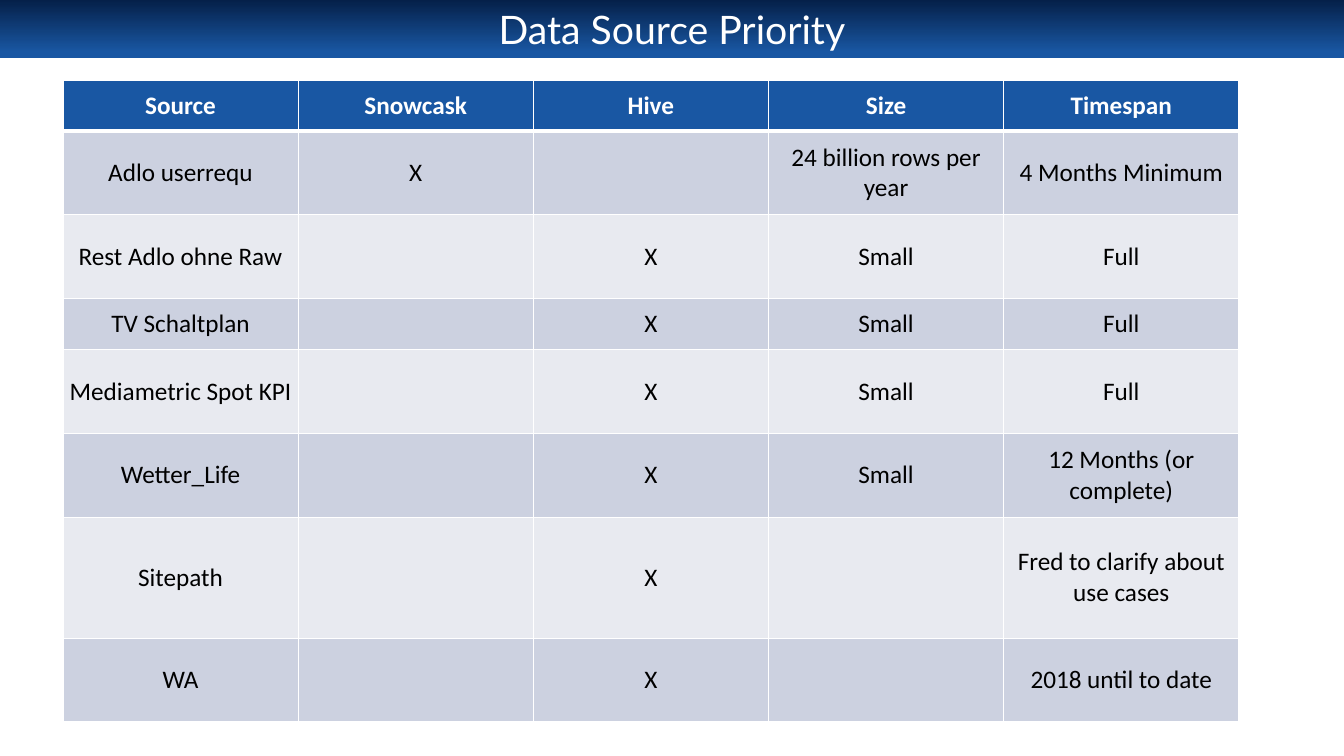
from dataclasses import dataclass

from lxml.etree import SubElement
from pptx import Presentation
from pptx.dml.color import RGBColor as RGB
from pptx.enum.shapes import MSO_SHAPE as SHAPE
from pptx.enum.text import MSO_ANCHOR as ANCHOR, PP_ALIGN as ALIGN
from pptx.oxml.ns import qn
from pptx.util import Inches, Pt


@dataclass(frozen=True)
class Theme:
    navy: str = "052049"
    blue: str = "1957A3"
    white: str = "FFFFFF"
    black: str = "000000"
    bands: tuple = ("CCD1E0", "E8EAF0")
    title_font: str = "Lato"
    body_font: str = "Calibri"
    title_size: int = 28
    body_size: int = 18
    thin: int = 1
    thick: int = 3


T = Theme()
WIDTH, HEIGHT = Inches(13.33), Inches(7.5)
BAR_HEIGHT = 7.72
TABLE_LEFT, TABLE_TOP = 4.68, 10.58
COLUMN = 17.5
HEADER, SINGLE, DOUBLE, TRIPLE = 6.75, 6.75, 11.09, 16

HEADINGS = ("Source", "Snowcask", "Hive", "Size", "Timespan")
SOURCES = (
    (DOUBLE, "Adlo userrequ", "X", "", "24 billion rows per year", "4 Months Minimum"),
    (DOUBLE, "Rest Adlo ohne Raw", "", "X", "Small", "Full"),
    (SINGLE, "TV Schaltplan", "", "X", "Small", "Full"),
    (DOUBLE, "Mediametric Spot KPI", "", "X", "Small", "Full"),
    (DOUBLE, "Wetter_Life", "", "X", "Small", "12 Months (or complete)"),
    (TRIPLE, "Sitepath", "", "X", "", "Fred to clarify about use cases"),
    (DOUBLE, "WA", "", "X", "", "2018 until to date"),
)


def across(percent):
    return round(WIDTH * percent / 100)


def down(percent):
    return round(HEIGHT * percent / 100)


def write(tf, text, font, size, color, bold=False):
    p = tf.paragraphs[0]
    p.alignment = ALIGN.CENTER
    p.font.size = Pt(size)
    if text:
        r = p.add_run()
        r.text = text
        r.font.name = font
        r.font.size = Pt(size)
        r.font.bold = bold
        r.font.color.rgb = RGB.from_string(color)


def add_title_bar(s):
    sp = s.shapes.add_shape(SHAPE.RECTANGLE, 0, 0, WIDTH, down(BAR_HEIGHT))
    sp.shadow.inherit = False
    sp.line.fill.background()
    sp.fill.gradient()
    sp.fill.gradient_angle = 270
    for stop, (position, color) in zip(sp.fill.gradient_stops, ((0, T.navy), (0.9, T.blue))):
        stop.position = position
        stop.color.rgb = RGB.from_string(color)


def add_title(s, text):
    sp = s.shapes.add_textbox(0, 0, WIDTH, down(BAR_HEIGHT))
    tf = sp.text_frame
    tf.word_wrap = True
    tf.vertical_anchor = ANCHOR.MIDDLE
    write(tf, text, T.title_font, T.title_size, T.white)


def add_border(cell, side, width):
    ln = SubElement(cell._tc.get_or_add_tcPr(), qn(f"a:ln{side}"), w=str(Pt(width)))
    fill = SubElement(ln, qn("a:solidFill"))
    SubElement(fill, qn("a:srgbClr"), val=T.white)


def style_cell(cell, text, row):
    header = row == 0
    cell.margin_left = cell.margin_right = Inches(0.04)
    cell.margin_top = cell.margin_bottom = Inches(0.03)
    cell.vertical_anchor = ANCHOR.MIDDLE
    for side in "LRTB":
        heavy = (row, side) in ((0, "B"), (1, "T"))
        add_border(cell, side, T.thick if heavy else T.thin)
    cell.fill.solid()
    cell.fill.fore_color.rgb = RGB.from_string(T.blue if header else T.bands[(row - 1) % 2])
    write(cell.text_frame, text, T.body_font, T.body_size, T.white if header else T.black, header)


def add_source_table(s):
    rows = ((HEADER, *HEADINGS), *SOURCES)
    columns = len(HEADINGS)
    total = sum(height for height, *_ in rows)
    table = s.shapes.add_table(
        len(rows), columns, across(TABLE_LEFT), down(TABLE_TOP),
        across(COLUMN * columns), down(total),
    ).table
    for column in table.columns:
        column.width = across(COLUMN)
    for i, (height, *texts) in enumerate(rows):
        table.rows[i].height = down(height)
        for j, text in enumerate(texts):
            style_cell(table.cell(i, j), text, i)


def main():
    prs = Presentation()
    prs.slide_width, prs.slide_height = WIDTH, HEIGHT
    s = prs.slides.add_slide(prs.slide_layouts[6])
    add_title_bar(s)
    add_title(s, "Data Source Priority")
    add_source_table(s)
    prs.save("out.pptx")


if __name__ == "__main__":
    main()
